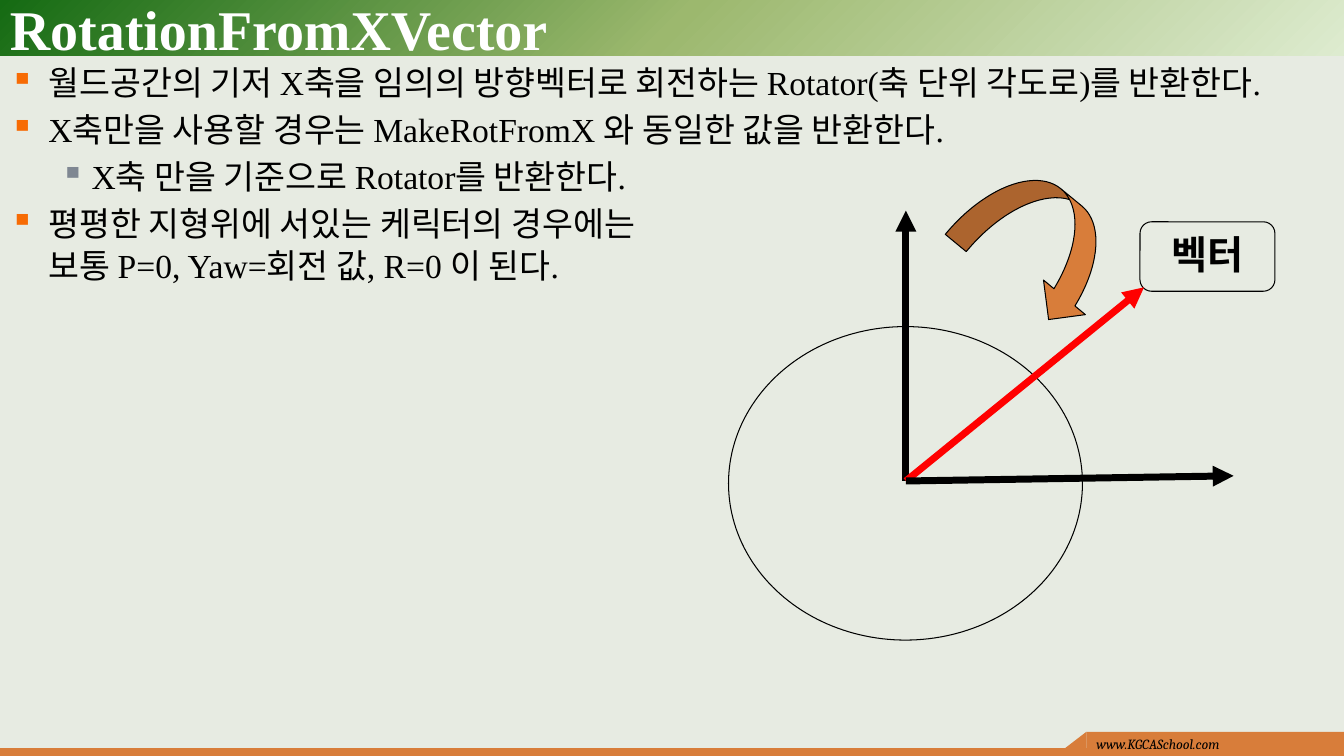
from pptx import Presentation
from pptx.dml.color import RGBColor
from pptx.enum.shapes import MSO_CONNECTOR, MSO_SHAPE
from pptx.enum.text import MSO_ANCHOR, PP_ALIGN
from pptx.oxml import parse_xml
from pptx.oxml.ns import nsdecls, qn
from pptx.util import Cm, Pt

RECT = MSO_SHAPE.RECTANGLE
OVAL = MSO_SHAPE.OVAL
ROUND = MSO_SHAPE.ROUNDED_RECTANGLE
CURVE = MSO_SHAPE.CURVED_RIGHT_ARROW
LINE = MSO_CONNECTOR.STRAIGHT
TOP, MID = MSO_ANCHOR.TOP, MSO_ANCHOR.MIDDLE
LEFT, CENTER = PP_ALIGN.LEFT, PP_ALIGN.CENTER

HUES = {
    "back": "E7EBE2", "ink": "000000", "white": "FFFFFF",
    "orange": "D87D3A", "mark": "F76B04", "sub": "7F8792", "red": "FF0000",
    "pale": "DDEBCF", "leaf": "9CB86E", "green": "156B13",
}
SERIF, HANGUL, FOOT = "Times New Roman", "Noto Sans CJK KR", "Cambria"
WIDE, HIGH, BAR = 33.87, 19.05, 1.4

# Bullet levels: left margin, hanging indent, colour
LEVELS = [(0.97, 0.97, "mark"), (2.06, 0.79, "sub")]
POINTS = [
    (0, "월드공간의 기저 X축을 임의의 방향벡터로 회전하는 Rotator(축 단위 각도로)를 반환한다."),
    (0, "X축만을 사용할 경우는 MakeRotFromX 와 동일한 값을 반환한다."),
    (1, "X축 만을 기준으로 Rotator를 반환한다."),
    (0, "평평한 지형위에 서있는 케릭터의 경우에는\v보통 P=0, Yaw=회전 값, R=0 이 된다."),
]


def color(name):
    return RGBColor.from_string(HUES[name])


def make(tag, attrs="", inner=""):
    return parse_xml(f"<a:{tag} {nsdecls('a')} {attrs}>{inner}</a:{tag}>")


def write(para, text, size=24, font=SERIF, hue="ink", bold=False,
          italic=False, align=LEFT):
    para.text = text
    para.alignment = align
    for run in para.runs:
        face = run.font
        face.size, face.name = Pt(size), font
        face.bold, face.italic = bold, italic
        face.color.rgb = color(hue)
        run._r.get_or_add_rPr().append(make("ea", f'typeface="{HANGUL}"'))


def frame(slide, box, anchor=TOP):
    area = slide.shapes.add_textbox(*map(Cm, box)).text_frame
    area.word_wrap = True
    area.vertical_anchor = anchor
    return area


def paint(shape, fill=None, line=None):
    shape.shadow.inherit = False
    if fill:
        shape.fill.solid()
        shape.fill.fore_color.rgb = color(fill)
    else:
        shape.fill.background()
    if line:
        shape.line.color.rgb = color(line)
        shape.line.width = Pt(0.75)
    else:
        shape.line.fill.background()


def draw(slide, kind, box, fill=None, line=None):
    shape = slide.shapes.add_shape(kind, *map(Cm, box))
    paint(shape, fill, line)
    return shape


def arrow(slide, start, end, hue):
    link = slide.shapes.add_connector(LINE, *map(Cm, start + end))
    link.line.color.rgb = color(hue)
    link.line.width = Pt(5)
    link.line._get_or_add_ln().append(make("tailEnd", 'type="triangle"'))
    link._element.spPr.append(make("effectLst"))


def header(slide, box):
    # Green glow that fades towards the lower right corner
    band = draw(slide, RECT, box, "green")
    stops = "".join(
        f'<a:gs pos="{pos}"><a:srgbClr val="{HUES[hue]}"/></a:gs>'
        for pos, hue in ((0, "pale"), (50000, "leaf"), (100000, "green")))
    glow = make("gradFill", 'rotWithShape="1"',
                f'<a:gsLst>{stops}</a:gsLst><a:path path="circle">'
                '<a:fillToRect l="100000" t="100000"/></a:path>')
    props = band._element.spPr
    props.replace(props.find(qn("a:solidFill")), glow)
    # Title
    x, y, w, h = box
    area = frame(slide, (x, y, 21.44, h), MID)
    write(area.paragraphs[0], "RotationFromXVector", size=40, hue="white",
          bold=True)


def bullets(slide, box):
    area = frame(slide, box)
    area.margin_right = 0
    for i, (level, text) in enumerate(POINTS):
        para = area.add_paragraph() if i else area.paragraphs[0]
        left, hang, hue = LEVELS[level]
        props = para._p.get_or_add_pPr()
        props.set("marL", str(Cm(left)))
        props.set("indent", str(-Cm(hang)))
        props.append(make("buClr", "", f'<a:srgbClr val="{HUES[hue]}"/>'))
        props.append(make("buChar", 'char="▪"'))
        para.level = level
        para.line_spacing = Pt(30)
        para.space_before = Pt(3.6 if i else 0)
        write(para, text)


def scene(slide, box):
    x, y, w, h = box
    hub = (x + 4.47, y + 8.01)
    # Circle and upward axis
    draw(slide, OVAL, (x, y + 4.12, 8.92, 7.9), line="ink")
    arrow(slide, hub, (hub[0], hub[1] - 6.81), "ink")
    # Vector label
    label = draw(slide, ROUND, (x + w - 3.4, y + 1.48, 3.4, 1.75), line="ink")
    label.text_frame.vertical_anchor = TOP
    write(label.text_frame.paragraphs[0], "벡터", size=28, font=HANGUL,
          bold=True, align=CENTER)
    # Turning arrow
    turn = draw(slide, CURVE, (x + 6.53, y, 2.74, 4.06), "orange", "ink")
    turn.rotation = 309.5
    turn._element.spPr.xfrm.set("flipH", "1")
    # Vector and sideways axis
    arrow(slide, hub, (hub[0] + 6, hub[1] - 4.88), "red")
    arrow(slide, hub, (hub[0] + 8.26, hub[1] - 0.13), "ink")


def footer(slide, box):
    x, y, w, h = box
    tab, slope = 6.49, 0.56
    left, base = x + w - tab, y + 0.43
    draw(slide, RECT, (x, y + h - 0.2, w, 0.2), "orange")
    draw(slide, RECT, (left, y, tab, 0.43), "orange")
    pen = slide.shapes.build_freeform(Cm(left - slope), Cm(base))
    pen.add_line_segments([(Cm(left), Cm(base)), (Cm(left), Cm(y))])
    paint(pen.convert_to_shape(), "orange")
    area = frame(slide, (left, y - 0.03, tab, 0.63))
    write(area.paragraphs[0], "www.KGCASchool.com", size=10, font=FOOT,
          italic=True)


def main():
    deck = Presentation()
    deck.slide_width, deck.slide_height = Cm(WIDE), Cm(HIGH)
    slide = deck.slides.add_slide(deck.slide_layouts[6])
    slide.background.fill.solid()
    slide.background.fill.fore_color.rgb = color("back")
    header(slide, (0, 0, WIDE, BAR))
    footer(slide, (0, HIGH - 0.61, WIDE, 0.61))
    bullets(slide, (0, BAR, WIDE, 16.46))
    scene(slide, (18.36, 4.11, 13.77, 12.02))
    deck.save("out.pptx")


if __name__ == "__main__":
    main()
